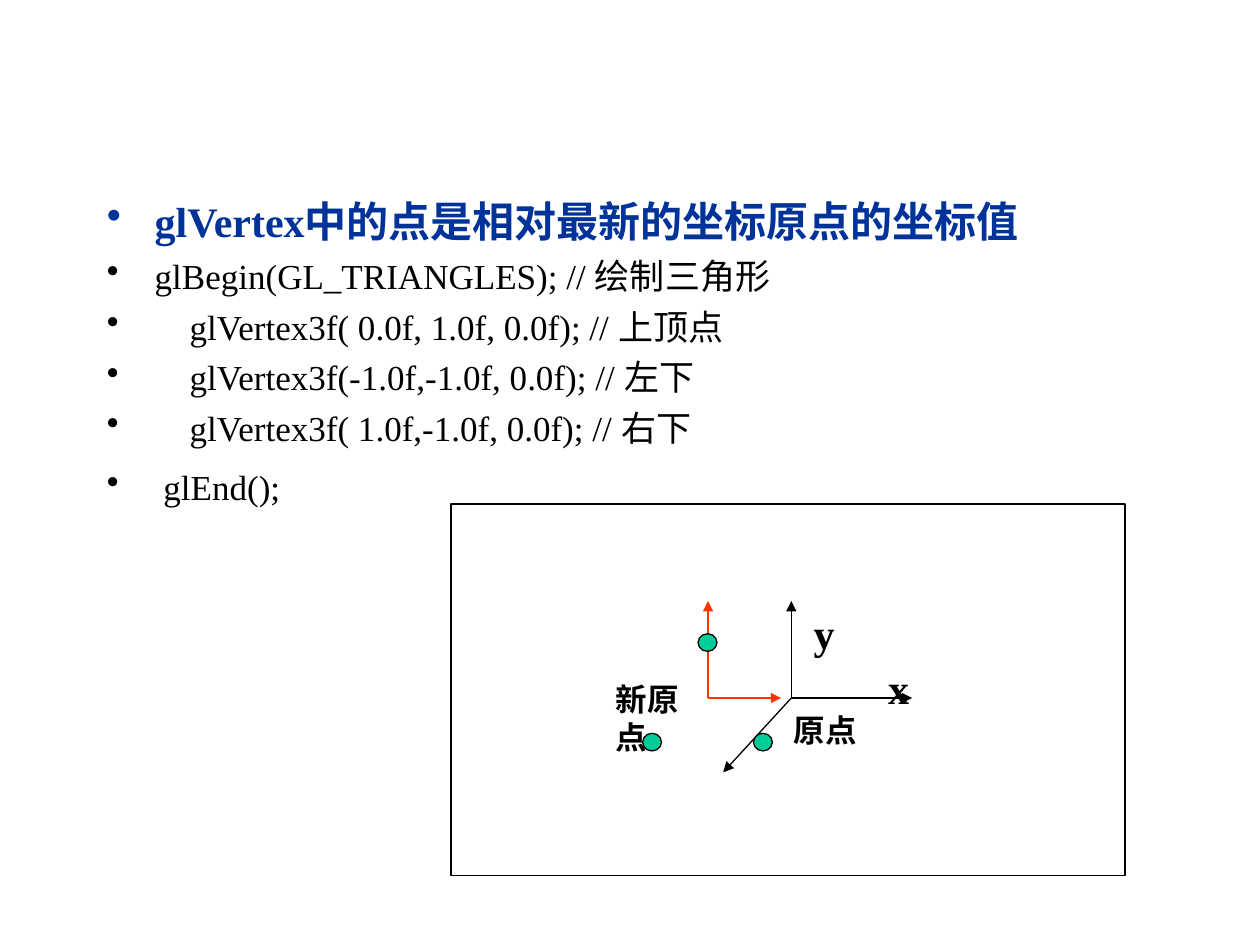
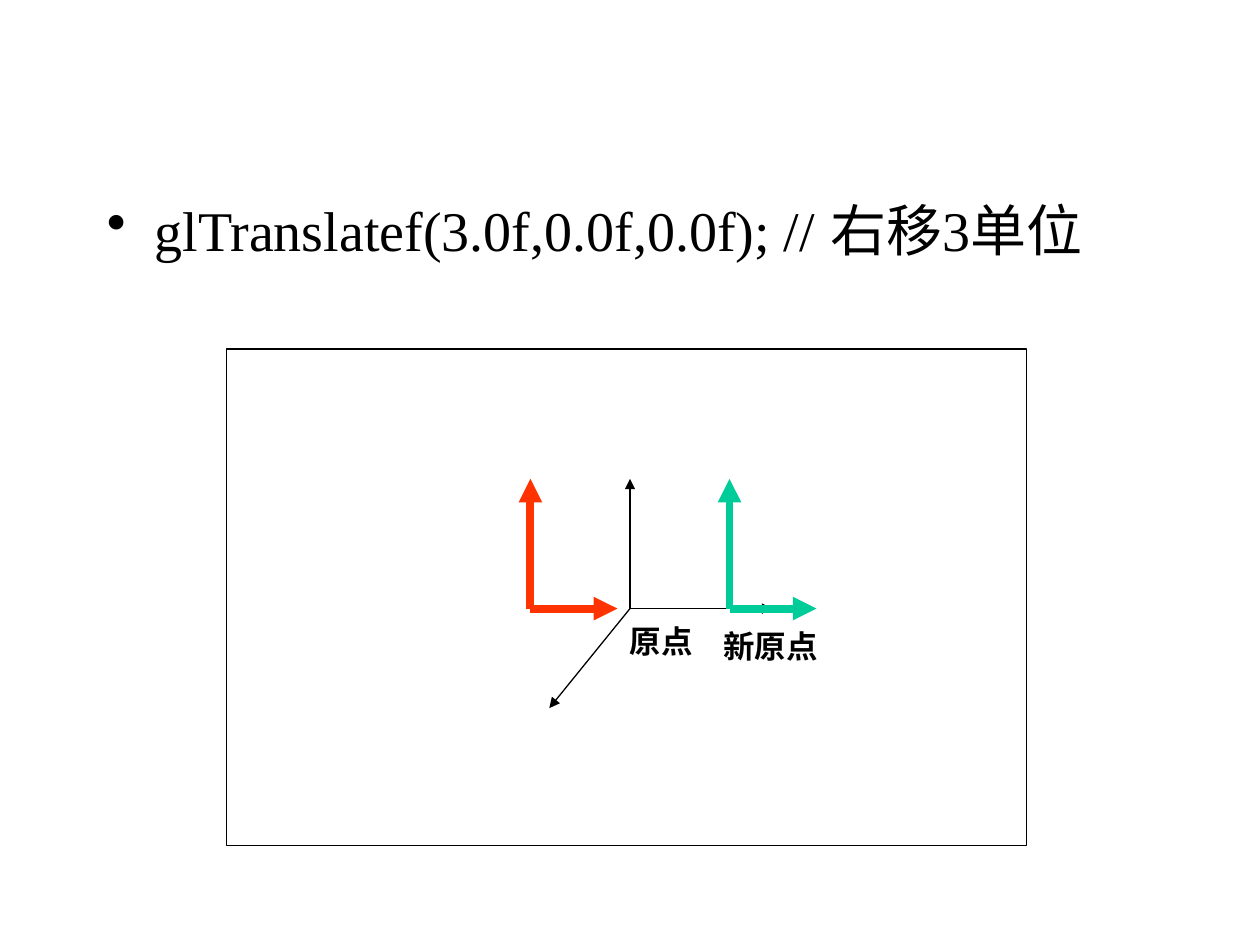
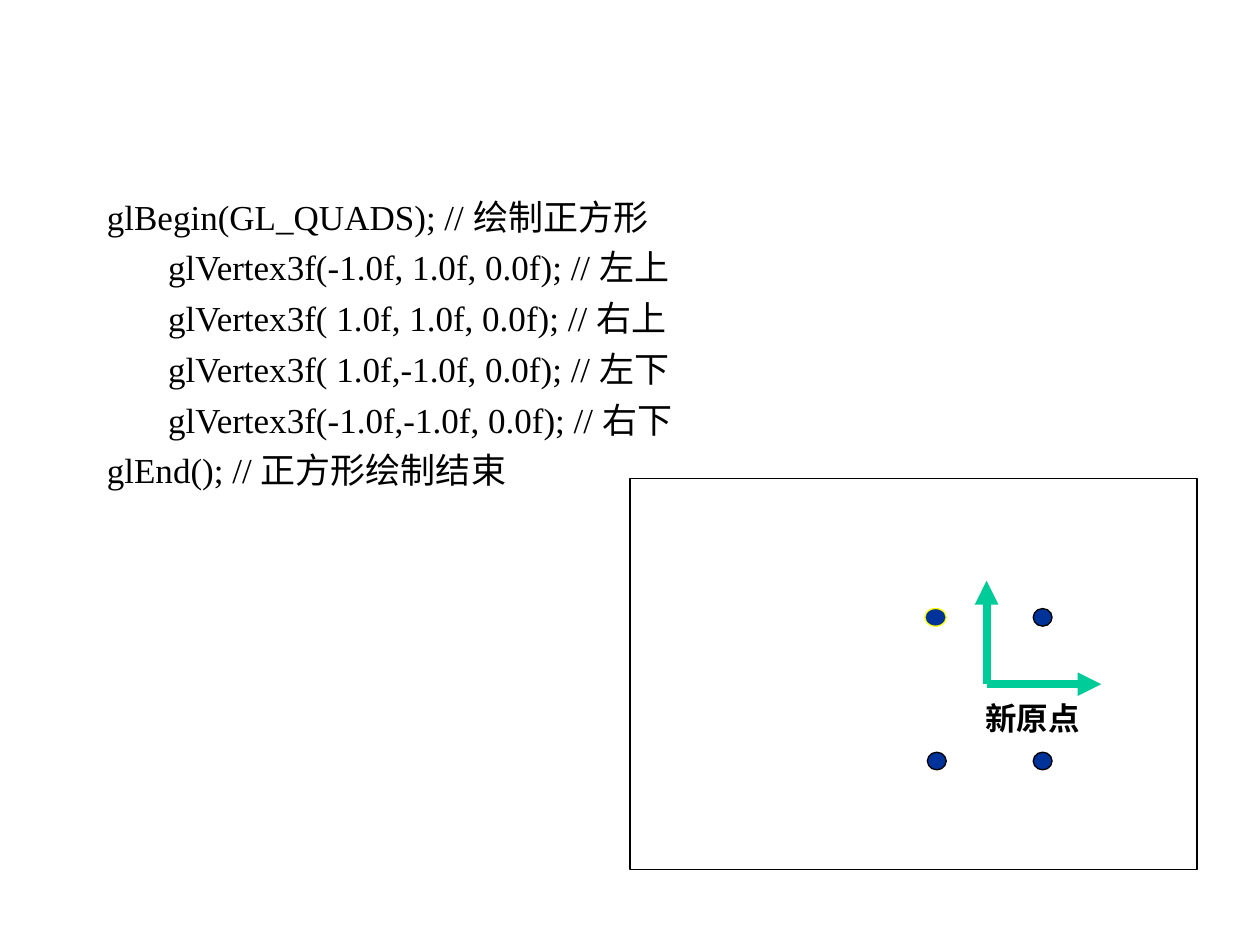
from lxml import etree
from pptx import Presentation
from pptx.dml.color import RGBColor
from pptx.enum.shapes import MSO_CONNECTOR, MSO_SHAPE
from pptx.enum.text import MSO_AUTO_SIZE
from pptx.oxml.ns import qn
from pptx.util import Emu, Pt

PX = 9144
FONT = "Times New Roman"
BLACK, BLUE, GREEN, RED, YELLOW = "000000", "003399", "00CC99", "FF3300", "FFFF00"
STRAIGHT = MSO_CONNECTOR.STRAIGHT
RECTANGLE, OVAL = MSO_SHAPE.RECTANGLE, MSO_SHAPE.OVAL
GROW = MSO_AUTO_SIZE.SHAPE_TO_FIT_TEXT
BLANK_LAYOUT = 6
HANGING = 38
THIN, THICK = 0.75, 4.5
CODE = {"size": 20, "before": 5}


def px(*lengths):
    """Turn px lengths into EMU."""
    return [Emu(length * PX) for length in lengths]


def rgb(value):
    """Turn a hex string into a colour."""
    return RGBColor.from_string(value)


def set_bullet(para, colour=None):
    """Give a paragraph a hanging indent and, with a colour, a bullet."""
    properties = para._p.get_or_add_pPr()
    indent = HANGING * PX
    properties.set("marL", str(indent))
    properties.set("indent", str(-indent))
    if colour is None:
        etree.SubElement(properties, qn("a:buNone"))
        return
    bullet_colour = etree.SubElement(properties, qn("a:buClr"))
    etree.SubElement(bullet_colour, qn("a:srgbClr")).set("val", colour)
    etree.SubElement(properties, qn("a:buChar")).set("char", "•")


def add_span(para, text, size, colour=BLACK, bold=False):
    """Add formatted text to a paragraph."""
    span = para.add_run()
    span.text = text
    font_format = {"name": FONT, "size": Pt(size), "bold": bold}
    for name, value in font_format.items():
        setattr(span.font, name, value)
    span.font.color.rgb = rgb(colour)


def add_body(page, lines, bulleted=True):
    """Add the main text, one (text, format) pair a paragraph."""
    frame = page.shapes.add_textbox(*px(75, 150, 850, 517)).text_frame
    frame.word_wrap = True
    for index, (text, line_format) in enumerate(lines):
        para = frame.add_paragraph() if index else frame.paragraphs[0]
        span_format = dict(line_format)
        before = span_format.pop("before", 0)
        set_bullet(para, span_format.get("colour", BLACK) if bulleted else None)
        if index:
            para.space_before = Pt(before)
        add_span(para, text, **span_format)


def add_label(shapes, text, bounds, size=18):
    """Add a bold label of the diagram."""
    frame = shapes.add_textbox(*px(*bounds)).text_frame
    frame.word_wrap = True
    frame.auto_size = GROW
    add_span(frame.paragraphs[0], text, size, bold=True)


def add_outlined(shapes, kind, bounds, fill=None, line=BLACK):
    """Add a thinly outlined shape, hollow when it has no fill."""
    shape = shapes.add_shape(kind, *px(*bounds))
    shape.shadow.inherit = False
    if fill:
        shape.fill.solid()
        shape.fill.fore_color.rgb = rgb(fill)
    else:
        shape.fill.background()
    shape.line.color.rgb = rgb(line)
    shape.line.width = Pt(THIN)


def add_axes(shapes, origin, tips, colour=BLACK, width=THIN):
    """Add an arrow from the origin to each tip."""
    for tip in tips:
        arrow = shapes.add_connector(STRAIGHT, *px(*origin, *tip))
        arrow.line.color.rgb = rgb(colour)
        arrow.line.width = Pt(width)
        properties = arrow._element.spPr
        etree.SubElement(properties.find(qn("a:ln")), qn("a:tailEnd")).set("type", "triangle")
        etree.SubElement(properties, qn("a:effectLst"))


def add_vertices(shapes, corners, fill):
    """Add a dot at each top left corner."""
    for left, top in corners:
        add_outlined(shapes, OVAL, (left, top, 15, 14), fill)


def add_page(deck):
    """Add a blank page."""
    return deck.slides.add_slide(deck.slide_layouts[BLANK_LAYOUT])


def build_triangle(deck):
    """Build the page on drawing the triangle."""
    page = add_page(deck)
    add_body(page, [
        ("glVertex中的点是相对最新的坐标原点的坐标值", {"size": 24, "colour": BLUE, "bold": True}),
        ("glBegin(GL_TRIANGLES); // 绘制三角形", CODE),
        ("    glVertex3f( 0.0f, 1.0f, 0.0f); // 上顶点", CODE),
        ("    glVertex3f(-1.0f,-1.0f, 0.0f); // 左下", CODE),
        ("    glVertex3f( 1.0f,-1.0f, 0.0f); // 右下", CODE),
        (" glEnd();", {"size": 20, "before": 9.5}),
    ])
    diagram = page.shapes.add_group_shape().shapes
    add_outlined(diagram, RECTANGLE, (358, 400, 535, 295))
    add_axes(diagram, (628, 554), [(724, 554), (628, 477), (574, 613)])
    add_label(diagram, "x", (695, 521, 75, 50), 24)
    add_label(diagram, "y", (636, 477, 75, 50), 24)
    add_label(diagram, "原点", (620, 559, 87, 40))
    add_axes(diagram, (562, 554), [(620, 554), (562, 477)], RED)
    add_label(diagram, "新原点", (479, 535, 87, 70))
    add_vertices(page.shapes, [(598, 582), (510, 582), (554, 503)], GREEN)


def build_translation(deck):
    """Build the page on moving the origin."""
    page = add_page(deck)
    add_body(page, [("glTranslatef(3.0f,0.0f,0.0f); // 右移3单位", {"size": 32})])
    diagram = page.shapes.add_group_shape().shapes
    add_outlined(diagram, RECTANGLE, (180, 277, 635, 394))
    add_axes(diagram, (500, 483), [(613, 483), (500, 380), (436, 562)])
    add_label(diagram, "原点", (490, 489, 103, 40))
    for left, colour in ((421, RED), (579, GREEN)):
        add_axes(diagram, (left, 483), [(left + 69, 483), (left, 380)], colour, THICK)
    add_label(diagram, "新原点", (564, 493, 103, 40))


def build_square(deck):
    """Build the page on drawing the square."""
    page = add_page(deck)
    code_lines = [
        "glBegin(GL_QUADS); // 绘制正方形",
        "       glVertex3f(-1.0f, 1.0f, 0.0f); // 左上",
        "       glVertex3f( 1.0f, 1.0f, 0.0f); // 右上",
        "       glVertex3f( 1.0f,-1.0f, 0.0f); // 左下",
        "       glVertex3f(-1.0f,-1.0f, 0.0f); // 右下",
        "glEnd(); // 正方形绘制结束",
    ]
    add_body(page, [(text, CODE) for text in code_lines], bulleted=False)
    shapes = page.shapes
    add_outlined(shapes, RECTANGLE, (500, 380, 450, 310))
    add_axes(shapes, (783, 543), [(874, 543), (783, 461)], GREEN, THICK)
    add_label(shapes, "新原点", (772, 550, 102, 40))
    add_vertices(shapes, [(820, 597), (736, 597), (820, 483)], BLUE)
    add_outlined(shapes, OVAL, (734, 483, 17, 14), BLUE, YELLOW)


def main():
    """Build and save the deck."""
    deck = Presentation()
    deck.slide_width, deck.slide_height = px(1000, 750)
    build_triangle(deck)
    build_translation(deck)
    build_square(deck)
    deck.save("out.pptx")


if __name__ == "__main__":
    main()
